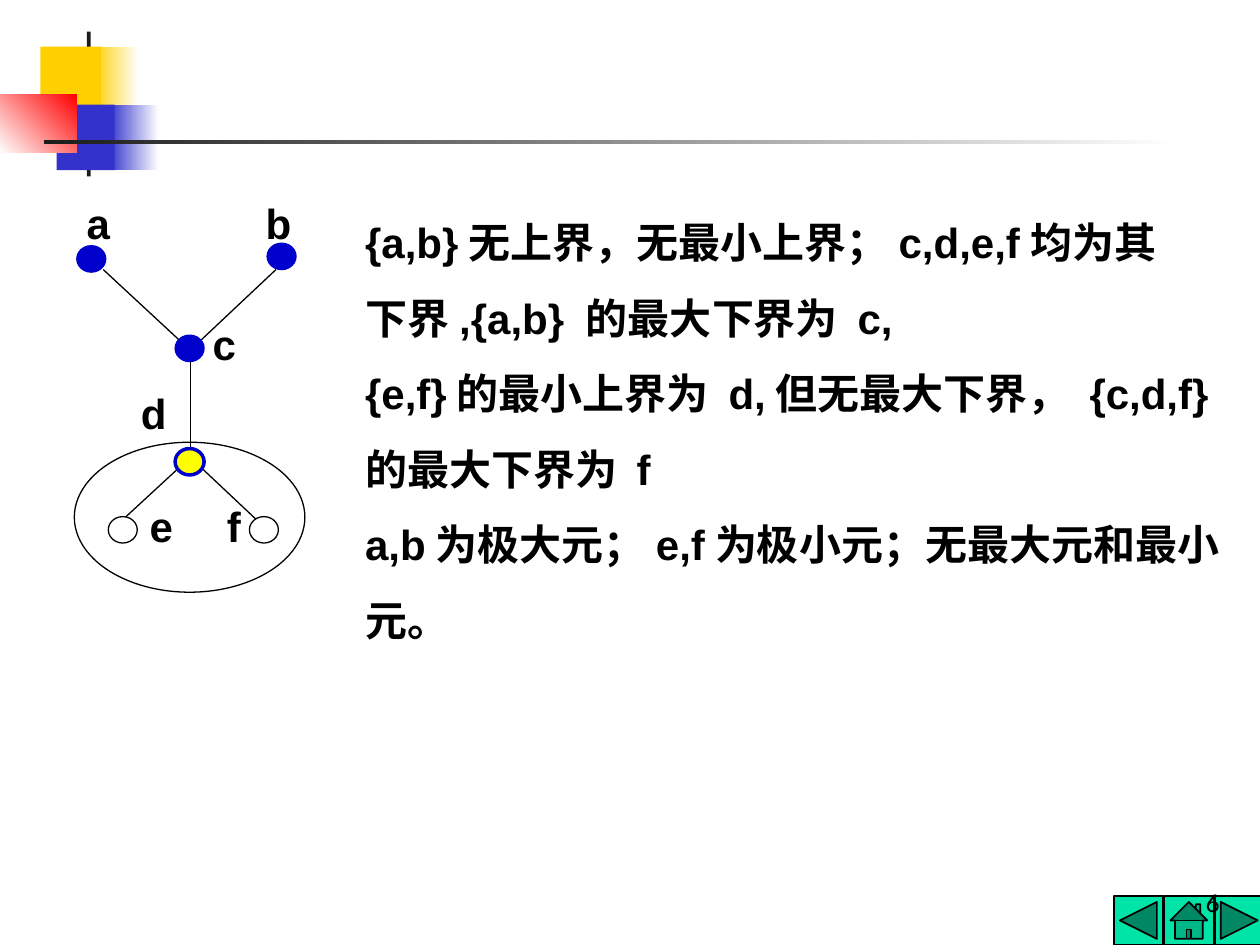
"""Build a slide on the bounds of a partially ordered set, with its Hasse diagram."""
from lxml import etree
from pptx import Presentation, util as u
from pptx.dml.color import RGBColor
from pptx.enum import shapes, text
from pptx.oxml.ns import qn

BLACK = RGBColor(0, 0, 0)
WHITE = RGBColor(255, 255, 255)
CHARCOAL = RGBColor(0x1C, 0x1C, 0x1C)
GOLD = RGBColor(0xFF, 0xCF, 0x01)
INDIGO = RGBColor(0x33, 0x33, 0xCC)
RED = RGBColor(255, 0, 0)
BLUE = RGBColor(0, 0, 0xCC)
YELLOW = RGBColor(255, 255, 0)
GREEN = RGBColor(0x00, 0xE4, 0xA8)
PRESET = shapes.MSO_SHAPE
LEFT, RIGHT = text.PP_ALIGN.LEFT, text.PP_ALIGN.RIGHT


class Board:
    """Hold the text style and the slide being drawn."""

    font = "Arial"
    size = 24
    thin = 0.75

    def __init__(self, slide):
        self.slide = slide

    def shape(self, preset, box, fill, line=None, width=thin):
        """Add a flat preset shape."""
        shape = self.slide.shapes.add_shape(preset, *map(u.Inches, box))
        shape.shadow.inherit = False
        shape.fill.solid()
        shape.fill.fore_color.rgb = fill
        if line is None:
            shape.line.fill.background()
        else:
            shape.line.color.rgb = line
            shape.line.width = u.Pt(width)
        return shape

    def fade(self, box, start, end, angle=0):
        """Add a rectangle that blends from one colour to another."""
        fill = self.shape(PRESET.RECTANGLE, box, start).fill
        fill.gradient()
        fill.gradient_angle = angle
        for stop, color in zip(fill.gradient_stops, (start, end)):
            stop.color.rgb = color

    def edge(self, start, end):
        """Add a thin straight line."""
        edge = self.slide.shapes.add_connector(
            shapes.MSO_CONNECTOR.STRAIGHT, *map(u.Inches, (*start, *end)))
        edge.line.color.rgb = BLACK
        edge.line.width = u.Pt(self.thin)
        etree.SubElement(edge._element.spPr, qn("a:effectLst"))

    def words(self, box, content, align=LEFT, spacing=1.0, bold=True,
              font=font, size=size, anchor=text.MSO_ANCHOR.TOP):
        """Add a wrapped text box."""
        frame = self.slide.shapes.add_textbox(*map(u.Inches, box)).text_frame
        frame.word_wrap = True
        frame.vertical_anchor = anchor
        frame.text = content
        for paragraph in frame.paragraphs:
            paragraph.alignment = align
            paragraph.line_spacing = spacing
            for run in paragraph.runs:
                run.font.name = font
                run.font.size = u.Pt(size)
                run.font.bold = bold
                run.font.color.rgb = BLACK


STATEMENTS = (
    "{a,b}无上界，无最小上界；c,d,e,f均为其",
    "下界,{a,b} 的最大下界为 c,",
    "{e,f}的最小上界为 d,但无最大下界， {c,d,f} 的最大下界为 f",
    "a,b为极大元；e,f为极小元；无最大元和最小元。",
)
C_JOINT, D_JOINT = (1.51, 2.78), (1.51, 3.63)
EDGES = (
    ((0.82, 2.14), C_JOINT),
    ((2.19, 2.14), C_JOINT),
    (C_JOINT, D_JOINT),
    (D_JOINT, (0.86, 4.23)),
    (D_JOINT, (2.19, 4.27)),
)
NODES = (
    (0.61, 1.95, BLUE, BLUE, 0.75),
    (2.12, 1.93, BLUE, BLUE, 0.75),
    (1.39, 2.66, BLUE, BLUE, 0.75),
    (1.39, 3.56, YELLOW, BLUE, 2),
    (0.86, 4.1, WHITE, BLACK, 0.75),
    (1.98, 4.1, WHITE, BLACK, 0.75),
)
LABELS = (
    ("a", 0.59, 1.52, LEFT),
    ("b", 2.01, 1.52, LEFT),
    ("c", 1.59, 2.48, LEFT),
    ("d", 0.92, 3.03, RIGHT),
    ("e", 1.09, 3.92, LEFT),
    ("f", 1.51, 3.92, RIGHT),
)
BUTTONS = (
    PRESET.ACTION_BUTTON_BACK_OR_PREVIOUS,
    PRESET.ACTION_BUTTON_HOME,
    PRESET.ACTION_BUTTON_FORWARD_OR_NEXT,
)


def main():
    """Draw the slide and save it."""
    deck = Presentation()
    deck.slide_width, deck.slide_height = u.Inches(10), u.Inches(7.5)
    board = Board(deck.slides.add_slide(deck.slide_layouts[6]))

    board.fade((0.74, 0.37, 0.36, 0.52), GOLD, WHITE)
    board.fade((0.86, 0.83, 0.4, 0.52), INDIGO, WHITE)
    board.shape(PRESET.RECTANGLE, (0.69, 0.25, 0.03, 1.15), CHARCOAL)
    board.shape(PRESET.RECTANGLE, (0.32, 0.37, 0.48, 0.52), GOLD)
    board.shape(PRESET.RECTANGLE, (0.45, 0.83, 0.46, 0.52), INDIGO)
    board.fade((0, 0.75, 0.61, 0.46), WHITE, RED, 45)
    board.fade((0.35, 1.11, 9, 0.03), CHARCOAL, WHITE)

    for column, button in enumerate(BUTTONS):
        board.shape(button, (8.84 + 0.4 * column, 7.11, 0.39, 0.39), GREEN, BLACK, 1)
    board.words((7.7, 6.83, 2.08, 0.5), "6", RIGHT, bold=False, font="Lato",
                size=14, anchor=text.MSO_ANCHOR.BOTTOM)

    board.words((2.8, 1.47, 7.2, 3.7), "\n".join(STATEMENTS), spacing=1.5)

    board.shape(PRESET.OVAL, (0.59, 3.51, 1.83, 1.19), WHITE, BLACK)
    for start, end in EDGES:
        board.edge(start, end)
    for left, top, fill, line, width in NODES:
        board.shape(PRESET.OVAL, (left, top, 0.23, 0.21), fill, line, width)
    for name, left, top, align in LABELS:
        board.words((left, top, 0.5, 0.5), name, align)

    deck.save("out.pptx")


if __name__ == "__main__":
    main()
